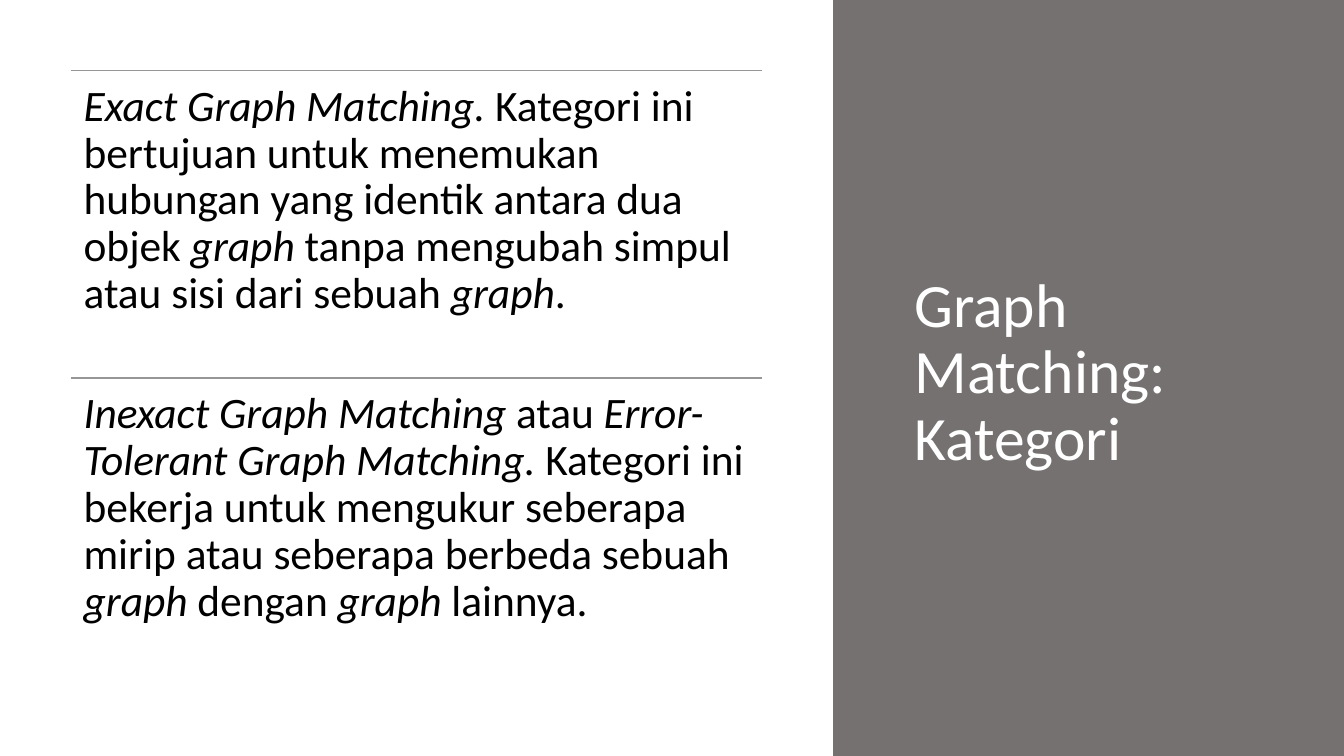
from dataclasses import dataclass
from lxml.etree import SubElement
from pptx import Presentation
from pptx.dml.color import RGBColor as RGB
from pptx.enum.shapes import MSO_CONNECTOR as CONN, MSO_SHAPE as SHAPE
from pptx.enum.text import MSO_ANCHOR as ANCHOR
from pptx.oxml.ns import qn
from pptx.util import Inches, Pt

# Content: each category is a list of (text, italic) runs
TITLE = ["Graph Matching:", "Kategori"]
CATEGORIES = [
    [("Exact Graph Matching. ", True),
     ("Kategori ini bertujuan untuk menemukan hubungan yang identik antara dua objek ", False),
     ("graph ", True),
     ("tanpa mengubah simpul atau sisi dari sebuah ", False),
     ("graph", True),
     (".", False)],
    [("Inexact Graph Matching ", True),
     ("atau ", False),
     ("Error-Tolerant Graph Matching. ", True),
     ("Kategori ini bekerja untuk mengukur seberapa mirip atau seberapa berbeda sebuah ", False),
     ("graph", True),
     (" dengan ", False),
     ("graph ", True),
     ("lainnya.", False)],
]


@dataclass(frozen=True)
class Theme:
    font: str = "Calibri"
    panel: RGB = RGB.from_string("767171")
    rule: RGB = RGB.from_string("969696")
    body: RGB = RGB.from_string("000000")
    title: RGB = RGB.from_string("FFFFFF")
    body_size: int = 31
    title_size: int = 44
    spacing: float = 0.9


T = Theme()

# Layout in inches: a list on the left, a full-height panel on the right
W, H = 13.33, 7.5
MARGIN = 0.7
PANEL_X = 0.62 * W
LIST_W = 6.86
ROW_H = 3.05
PAD = 0.13
TITLE_X, TITLE_W, TITLE_H = 8.97, 4.01, 6.02

prs = Presentation()
prs.slide_width, prs.slide_height = Inches(W), Inches(H)
s = prs.slides.add_slide(prs.slide_layouts[6])


def add_text_box(x, y, w, h):
    tf = s.shapes.add_textbox(*map(Inches, (x, y, w, h))).text_frame
    tf.word_wrap = True
    p = tf.paragraphs[0]
    p.line_spacing = T.spacing
    return tf, p


def add_run(p, text, size, color, italic=False):
    r = p.add_run()
    r.text = text
    f = r.font
    f.name, f.size, f.italic = T.font, Pt(size), italic
    f.color.rgb = color


# Panel
panel = s.shapes.add_shape(SHAPE.RECTANGLE, *map(Inches, (PANEL_X, 0, W - PANEL_X, H)))
panel.shadow.inherit = False
panel.fill.solid()
panel.fill.fore_color.rgb = T.panel
panel.line.fill.background()

# Title
tf, p = add_text_box(TITLE_X, MARGIN, TITLE_W, TITLE_H)
tf.vertical_anchor = ANCHOR.MIDDLE
for i, line in enumerate(TITLE):
    if i:
        p.add_line_break()
    add_run(p, line, T.title_size, T.title)

# Categories, each under its own rule
for i, runs in enumerate(CATEGORIES):
    y = MARGIN + i * ROW_H
    rule = s.shapes.add_connector(CONN.STRAIGHT, *map(Inches, (MARGIN, y, MARGIN + LIST_W, y)))
    rule.line.color.rgb = T.rule
    rule.line.width = Pt(1)
    SubElement(rule._element.spPr, qn("a:effectLst"))

    tf, p = add_text_box(MARGIN, y, LIST_W, ROW_H)
    tf.margin_left = tf.margin_right = tf.margin_top = tf.margin_bottom = Inches(PAD)
    for text, italic in runs:
        add_run(p, text, T.body_size, T.body, italic)

prs.save("out.pptx")
